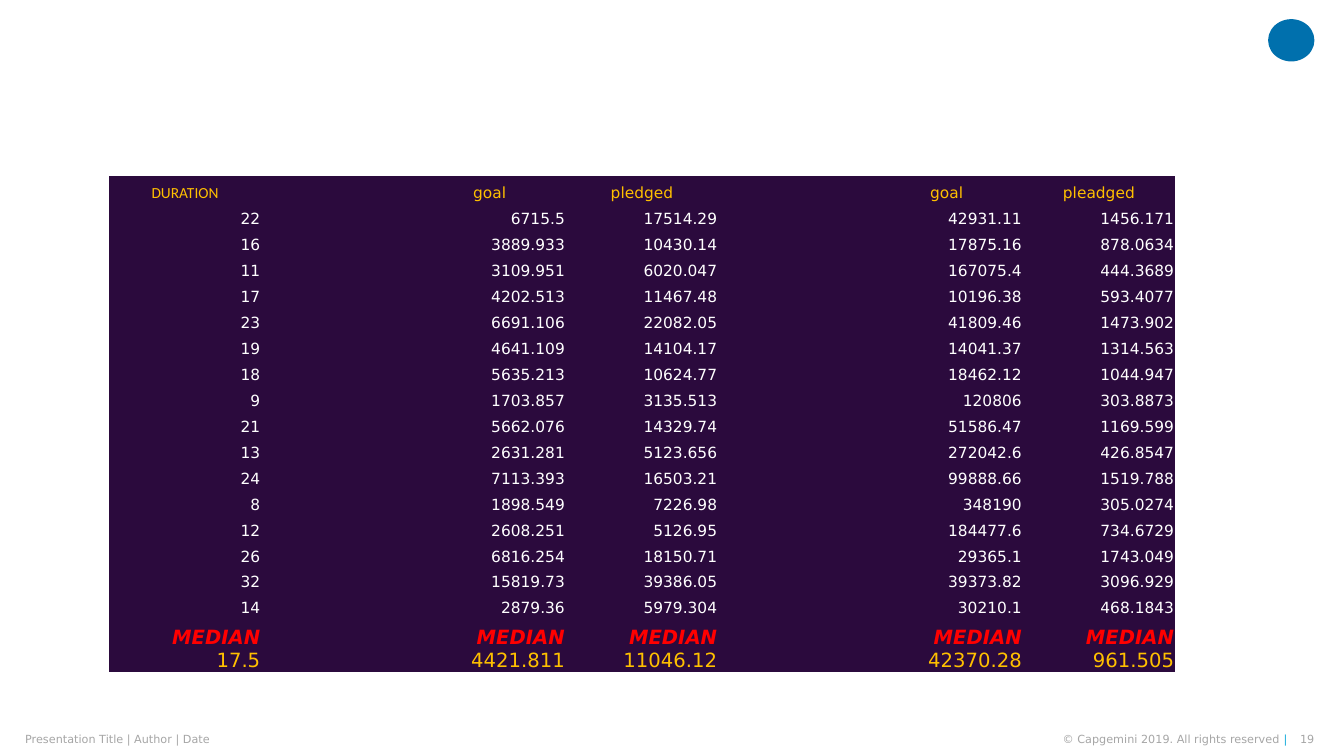
"""Build the slide comparing duration, goal and pledged amounts with their medians."""
from dataclasses import dataclass

from pptx import Presentation
from pptx.dml.color import RGBColor
from pptx.enum.shapes import MSO_SHAPE
from pptx.enum.text import MSO_ANCHOR, PP_ALIGN
from pptx.util import Pt

HEADINGS = ("DURATION", "goal", "pledged", "goal", "pleadged")
RECORDS = [
    ("22", "6715.5", "17514.29", "42931.11", "1456.171"),
    ("16", "3889.933", "10430.14", "17875.16", "878.0634"),
    ("11", "3109.951", "6020.047", "167075.4", "444.3689"),
    ("17", "4202.513", "11467.48", "10196.38", "593.4077"),
    ("23", "6691.106", "22082.05", "41809.46", "1473.902"),
    ("19", "4641.109", "14104.17", "14041.37", "1314.563"),
    ("18", "5635.213", "10624.77", "18462.12", "1044.947"),
    ("9", "1703.857", "3135.513", "120806", "303.8873"),
    ("21", "5662.076", "14329.74", "51586.47", "1169.599"),
    ("13", "2631.281", "5123.656", "272042.6", "426.8547"),
    ("24", "7113.393", "16503.21", "99888.66", "1519.788"),
    ("8", "1898.549", "7226.98", "348190", "305.0274"),
    ("12", "2608.251", "5126.95", "184477.6", "734.6729"),
    ("26", "6816.254", "18150.71", "29365.1", "1743.049"),
    ("32", "15819.73", "39386.05", "39373.82", "3096.929"),
    ("14", "2879.36", "5979.304", "30210.1", "468.1843"),
]
MEDIANS = ("17.5", "4421.811", "11046.12", "42370.28", "961.505")
FILLED_COLUMNS = (0, 2, 3, 5, 6)
COLUMN_COUNT = 7

FOOTER = [
    (("Presentation Title | Author | Date",), 18, 371.5, PP_ALIGN.LEFT),
    (("© Capgemini 2019. All rights reserved ", "|"), 710, 209.5, PP_ALIGN.RIGHT),
    (("19",), 925.2, 13.7, PP_ALIGN.RIGHT),
]
FOOTER_TOP, FOOTER_HEIGHT = 523.4, 9.4

TABLE_LEFT, TABLE_TOP = 77.8, 126
COLUMN_WIDTH, ROW_HEIGHT, MEDIAN_HEIGHT = 108.8, 18.55, 38.9
PLAIN_TABLE_STYLE = "{2D5ABB26-0587-4C30-8999-92F81FD0307C}"


@dataclass(frozen=True)
class Theme:
    """Colours, fonts and type sizes of the slide."""

    panel: RGBColor = RGBColor.from_string("2B0A3D")
    gold: RGBColor = RGBColor.from_string("FFC000")
    white: RGBColor = RGBColor.from_string("FFFFFF")
    red: RGBColor = RGBColor.from_string("FF0000")
    grey: RGBColor = RGBColor.from_string("A6A6A6")
    cyan: RGBColor = RGBColor.from_string("12ABDB")
    blue: RGBColor = RGBColor.from_string("0070AD")
    font: str = "DejaVu Sans"
    duration_font: str = "Calibri"
    footer_size: int = 8
    table_size: int = 11
    median_size: int = 14


THEME = Theme()


def format_span(span, size, color, font=THEME.font, strong=False):
    """Apply type settings to a run."""
    span.font.size = Pt(size)
    span.font.name = font
    span.font.color.rgb = color
    span.font.bold = span.font.italic = strong


def write_cell(cell, lines, align, size, colors, font=THEME.font):
    """Write one paragraph per line, with the first of two lines emphasised."""
    cell.text_frame.text = "\n".join(lines)
    for index, para in enumerate(cell.text_frame.paragraphs):
        para.alignment = align
        strong = len(lines) > 1 and index == 0
        format_span(para.runs[0], size, colors[index], font, strong)


def add_footer(page, texts, left, width, align):
    """Add one footer box, with its second run in the accent colour."""
    box = page.shapes.add_textbox(Pt(left), Pt(FOOTER_TOP), Pt(width), Pt(FOOTER_HEIGHT))
    frame = box.text_frame
    frame.word_wrap = len(texts) > 1
    frame.vertical_anchor = MSO_ANCHOR.MIDDLE
    frame.margin_left = frame.margin_right = frame.margin_top = frame.margin_bottom = 0
    para = frame.paragraphs[0]
    para.alignment = align
    for text, color in zip(texts, (THEME.grey, THEME.cyan)):
        span = para.add_run()
        span.text = text
        format_span(span, THEME.footer_size, color)


def add_table(page):
    """Add the table of records with its heading and median rows."""
    row_count = len(RECORDS) + 2
    frame = page.shapes.add_table(
        row_count, COLUMN_COUNT, Pt(TABLE_LEFT), Pt(TABLE_TOP),
        Pt(COLUMN_WIDTH * COLUMN_COUNT),
        Pt(ROW_HEIGHT * (row_count - 1) + MEDIAN_HEIGHT))
    table = frame.table
    table.first_row = table.horz_banding = False
    table._tbl.tblPr[0].text = PLAIN_TABLE_STYLE
    for column in table.columns:
        column.width = Pt(COLUMN_WIDTH)
    for row in table.rows:
        row.height = Pt(ROW_HEIGHT)
    table.rows[row_count - 1].height = Pt(MEDIAN_HEIGHT)

    for cell in table.iter_cells():
        cell.fill.solid()
        cell.fill.fore_color.rgb = THEME.panel
        cell.vertical_anchor = MSO_ANCHOR.BOTTOM
        cell.margin_left = cell.margin_right = cell.margin_top = Pt(0.7)
        cell.margin_bottom = 0
        ending = cell.text_frame.paragraphs[0]._p.get_or_add_endParaRPr()
        ending.set("sz", str(THEME.table_size * 100))

    for position, column in enumerate(FILLED_COLUMNS):
        font = THEME.duration_font if position == 0 else THEME.font
        write_cell(table.cell(0, column), (HEADINGS[position],), PP_ALIGN.CENTER,
                   THEME.table_size, (THEME.gold,), font)
        for row, record in enumerate(RECORDS, start=1):
            write_cell(table.cell(row, column), (record[position],), PP_ALIGN.RIGHT,
                       THEME.table_size, (THEME.white,))
        write_cell(table.cell(row_count - 1, column), ("MEDIAN", MEDIANS[position]),
                   PP_ALIGN.RIGHT, THEME.median_size, (THEME.red, THEME.gold))


def main():
    """Create and save the deck."""
    deck = Presentation()
    deck.slide_width, deck.slide_height = Pt(960), Pt(540)
    page = deck.slides.add_slide(deck.slide_layouts[6])
    emblem = page.shapes.add_shape(MSO_SHAPE.OVAL, Pt(905.8), Pt(13.7), Pt(33.1), Pt(30.2))
    emblem.shadow.inherit = False
    emblem.fill.solid()
    emblem.fill.fore_color.rgb = THEME.blue
    emblem.line.fill.background()
    for texts, left, width, align in FOOTER:
        add_footer(page, texts, left, width, align)
    add_table(page)
    deck.save("out.pptx")


if __name__ == "__main__":
    main()
